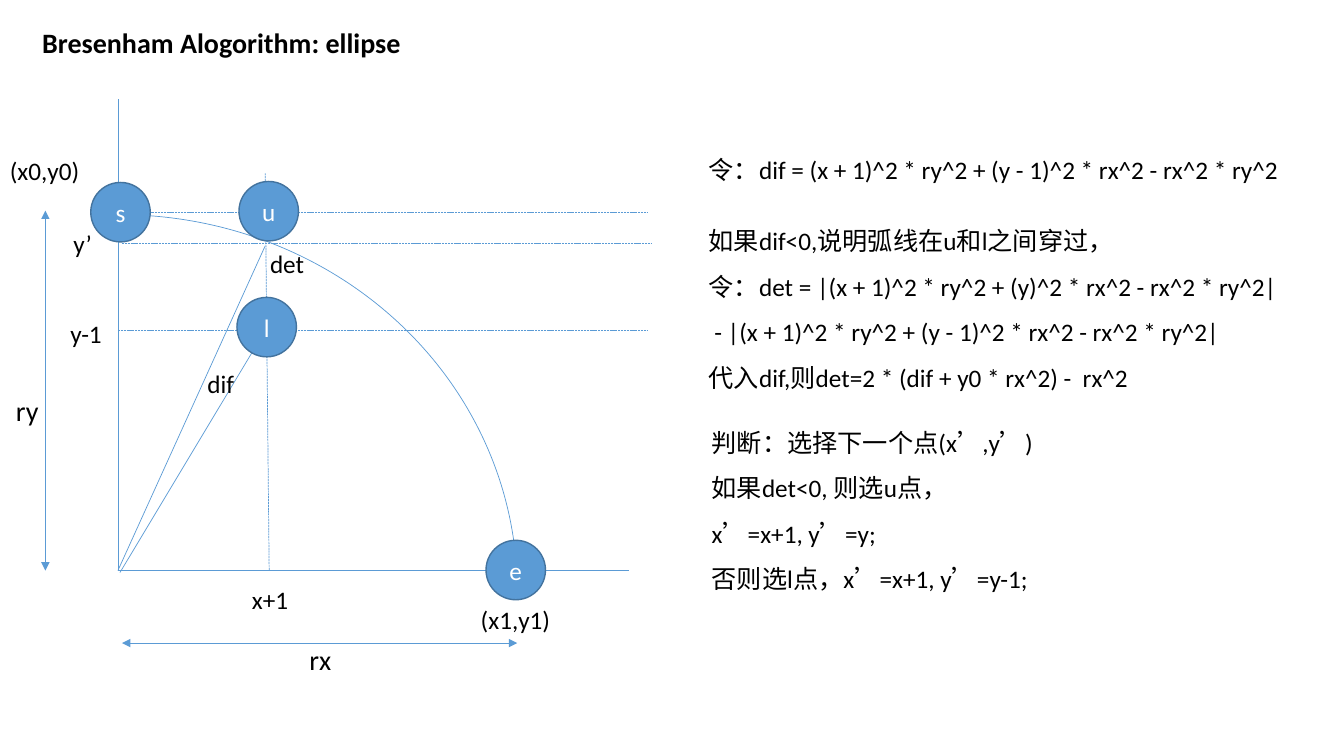
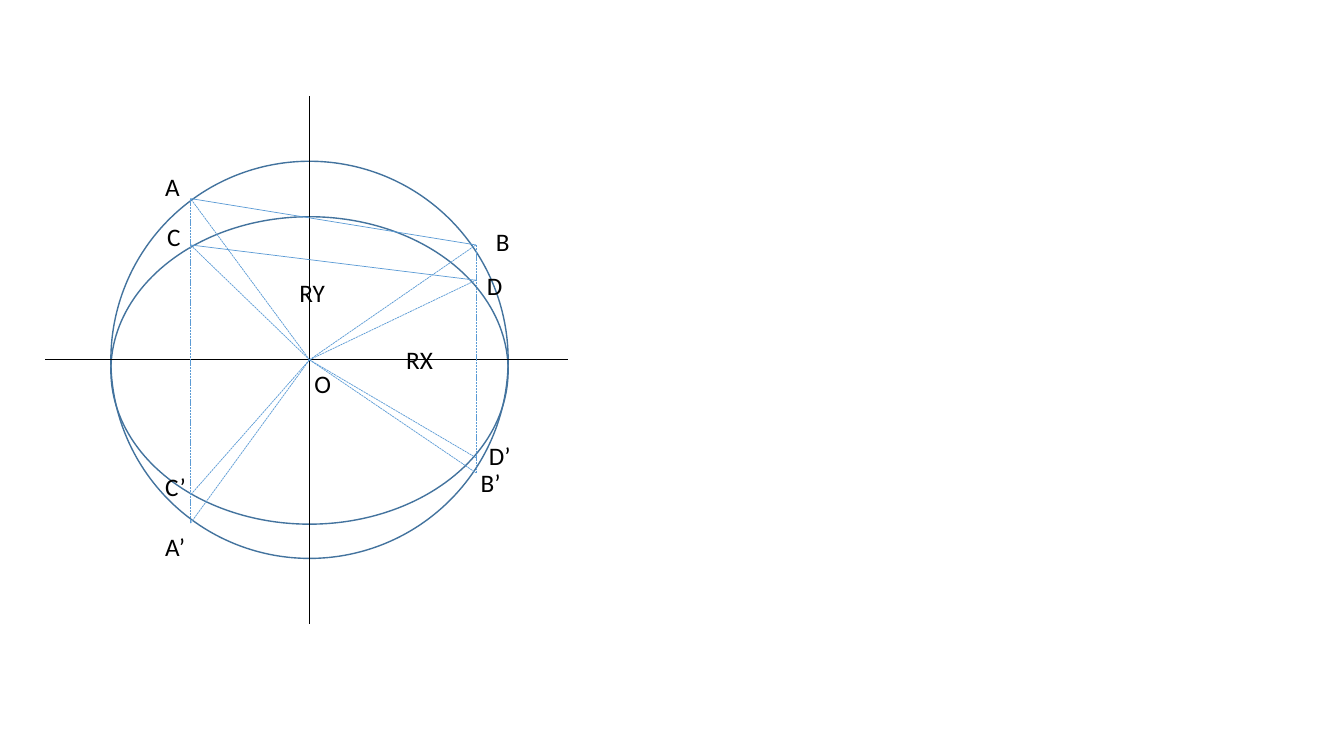
from dataclasses import dataclass
from typing import Any

from pptx import Presentation
from pptx.dml.color import RGBColor
from pptx.enum.dml import MSO_LINE
from pptx.enum.lang import MSO_LANGUAGE_ID
from pptx.enum.shapes import MSO_CONNECTOR, MSO_SHAPE
from pptx.enum.text import MSO_ANCHOR, MSO_AUTO_SIZE, PP_ALIGN
from pptx.oxml.ns import qn
from pptx.util import Emu, Pt

PX = 9144  # 100 px to the inch
BLUE = RGBColor(0x5B, 0x9B, 0xD5)
DARK_BLUE = RGBColor(0x43, 0x73, 0x9E)
BLACK = RGBColor(0, 0, 0)
WHITE = RGBColor(0xFF, 0xFF, 0xFF)

BODY = {"name": "Calibri", "size": Pt(18)}
LARGE = {**BODY, "size": Pt(20)}
TITLE = {**LARGE, "bold": True}
CHINESE = {**BODY, "language_id": MSO_LANGUAGE_ID.SIMPLIFIED_CHINESE}


def px(n):
    return Emu(n * PX)


def write(p, text, fmt, color=BLACK):
    """Add text to p, with a line break at each newline."""
    for i, part in enumerate(text.split("\n")):
        if i:
            p.add_line_break()
        r = p.add_run()
        r.text = part
        r.font.color.rgb = color
        for name, value in fmt.items():
            setattr(r.font, name, value)


@dataclass
class Region:
    """Part of a slide; all positions are offsets from (x, y)."""
    s: Any
    x: int
    y: int

    def place(self, left, top):
        return px(self.x + left), px(self.y + top)

    def line(self, start, end, color=BLUE, dashed=False, arrows=False):
        c = self.s.shapes.add_connector(
            MSO_CONNECTOR.STRAIGHT, *self.place(*start), *self.place(*end))
        c.line.color.rgb = color
        c.line.width = Pt(0.5)
        if dashed:
            c.line.dash_style = MSO_LINE.SQUARE_DOT
        if arrows:
            ln = c.line._get_or_add_ln()
            for tag in ("a:headEnd", "a:tailEnd"):
                ln.append(ln.makeelement(qn(tag), {"type": "triangle"}))
        sp_pr = c._element.spPr
        sp_pr.append(sp_pr.makeelement(qn("a:effectLst"), {}))

    def shape(self, kind, left, top, width, height, color=DARK_BLUE,
              weight=1, fill=None):
        sp = self.s.shapes.add_shape(
            kind, *self.place(left, top), px(width), px(height))
        sp.shadow.inherit = False
        sp.line.color.rgb = color
        sp.line.width = Pt(weight)
        if fill is None:
            sp.fill.background()
        else:
            sp.fill.solid()
            sp.fill.fore_color.rgb = fill
        return sp

    def disc(self, letter, left, top, size=59):
        sp = self.shape(MSO_SHAPE.OVAL, left, top, size, size, fill=BLUE)
        tf = sp.text_frame
        tf.vertical_anchor = MSO_ANCHOR.MIDDLE
        p = tf.paragraphs[0]
        p.alignment = PP_ALIGN.CENTER
        write(p, letter, BODY, WHITE)

    def text(self, lines, left, top, width, height=40, fmt=BODY, spacing=None):
        sp = self.s.shapes.add_textbox(
            *self.place(left, top), px(width), px(height))
        tf = sp.text_frame
        tf.word_wrap = False
        tf.auto_size = MSO_AUTO_SIZE.SHAPE_TO_FIT_TEXT
        for i, line in enumerate(lines):
            p = tf.add_paragraph() if i else tf.paragraphs[0]
            if spacing:
                p.line_spacing = spacing
            write(p, line, fmt)


def quarter_ellipse(s, x, y):
    """Draw the quarter arc with its candidate points, centred on (x, y)."""
    g = Region(s, x, y)
    g.shape(MSO_SHAPE.ARC, -393, -353, 789, 746, color=BLUE, weight=0.5)
    for end in ((0, -468), (507, 0)):
        g.line((0, 0), end)
    for left, level in ((0, -355), (0, -238), (4, -325)):
        g.line((left, level), (left + 526, level), dashed=True)
    g.line((146, -394), (150, 0), dashed=True)
    for start, end in (((0, 0), (146, -322)), ((2, 2), (146, -238))):
        g.line(start, end)
    for start, end in (((4, 72), (396, 72)), ((-72, -357), (-72, 0))):
        g.line(start, end, arrows=True)
    for letter, left, top in (("s", -27, -385), ("e", 365, -30),
                              ("u", 120, -386), ("l", 118, -271)):
        g.disc(letter, left, top)
    for label, left, top, width in (
            ("x+1", 123, 9, 56), ("y-1", -57, -255, 52),
            ("(x0,y0)", -117, -417, 90), ("(x1,y1)", 350, 29, 90),
            ("y’", -54, -344, 39), ("det", 141, -325, 54),
            ("dif", 79, -205, 47)):
        g.text([label], left, top, width)
    for label, left, top, width in (("rx", 180, 66, 42), ("ry", -111, -181, 43)):
        g.text([label], left, top, width, 44, LARGE)


def derivation(s, x, y):
    g = Region(s, x, y)
    g.text(["令：dif = (x + 1)^2 * ry^2 + (y - 1)^2 * rx^2 - rx^2 * ry^2"],
           0, 0, 592, fmt=CHINESE)
    g.text(["如果dif<0,说明弧线在u和l之间穿过，",
            "令：det = |(x + 1)^2 * ry^2 + (y)^2 * rx^2 - rx^2 * ry^2|",
            " - |(x + 1)^2 * ry^2 + (y - 1)^2 * rx^2 - rx^2 * ry^2|",
            "代入dif,则det=2 * (dif + y0 * rx^2) -  rx^2"],
           0, 56, 591, 192, CHINESE, 1.5)
    g.text(["判断：选择下一个点(x’,y’)",
            "如果det<0, 则选u点，\nx’=x+1, y’=y;",
            "否则选l点，x’=x+1, y’=y-1;"],
           3, 256, 383, 192, CHINESE, 1.5)


def circle_and_ellipse(s, x, y):
    """Draw both curves with their chords and radii, centred on (x, y)."""
    g = Region(s, x, y)
    for top, height in ((-197, 394), (-142, 305)):
        g.shape(MSO_SHAPE.OVAL, -197, top, 394, height)
    for start, end in (((-262, 0), (256, 0)), ((0, -262), (0, 262))):
        g.line(start, end, BLACK)

    left, right = -118, 165
    points = {"A": (left, -160), "C": (left, -114),
              "C’": (left, 134), "A’": (left, 162),
              "B": (right, -114), "D": (right, -79),
              "D’": (right, 97), "B’": (right, 112)}
    for a, b in ("AB", "CD"):
        g.line(points[a], points[b])
    for name in "AB":
        g.line(points[name], points[name + "’"], dashed=True)
    for point in points.values():
        g.line((0, 0), point, dashed=True)

    for label, dx, dy, width in (
            ("A", -153, -192, 35), ("B", 175, -137, 34),
            ("C", -151, -142, 34), ("D", 166, -94, 36),
            ("A’", -153, 165, 40), ("C’", -153, 106, 41),
            ("D’", 168, 75, 42), ("B’", 160, 102, 40),
            ("O", -5, 4, 37), ("RX", 86, -20, 47), ("RY", -20, -87, 46)):
        g.text([label], dx, dy, width)


def main():
    prs = Presentation()
    prs.slide_width, prs.slide_height = px(1333), px(750)
    blank = prs.slide_layouts[6]

    s = prs.slides.add_slide(blank)
    Region(s, 32, 20).text(["Bresenham Alogorithm: ellipse"],
                           0, 0, 385, 44, TITLE)
    quarter_ellipse(s, 117, 566)
    derivation(s, 693, 148)

    circle_and_ellipse(prs.slides.add_slide(blank), 307, 357)
    prs.save("out.pptx")


if __name__ == "__main__":
    main()
